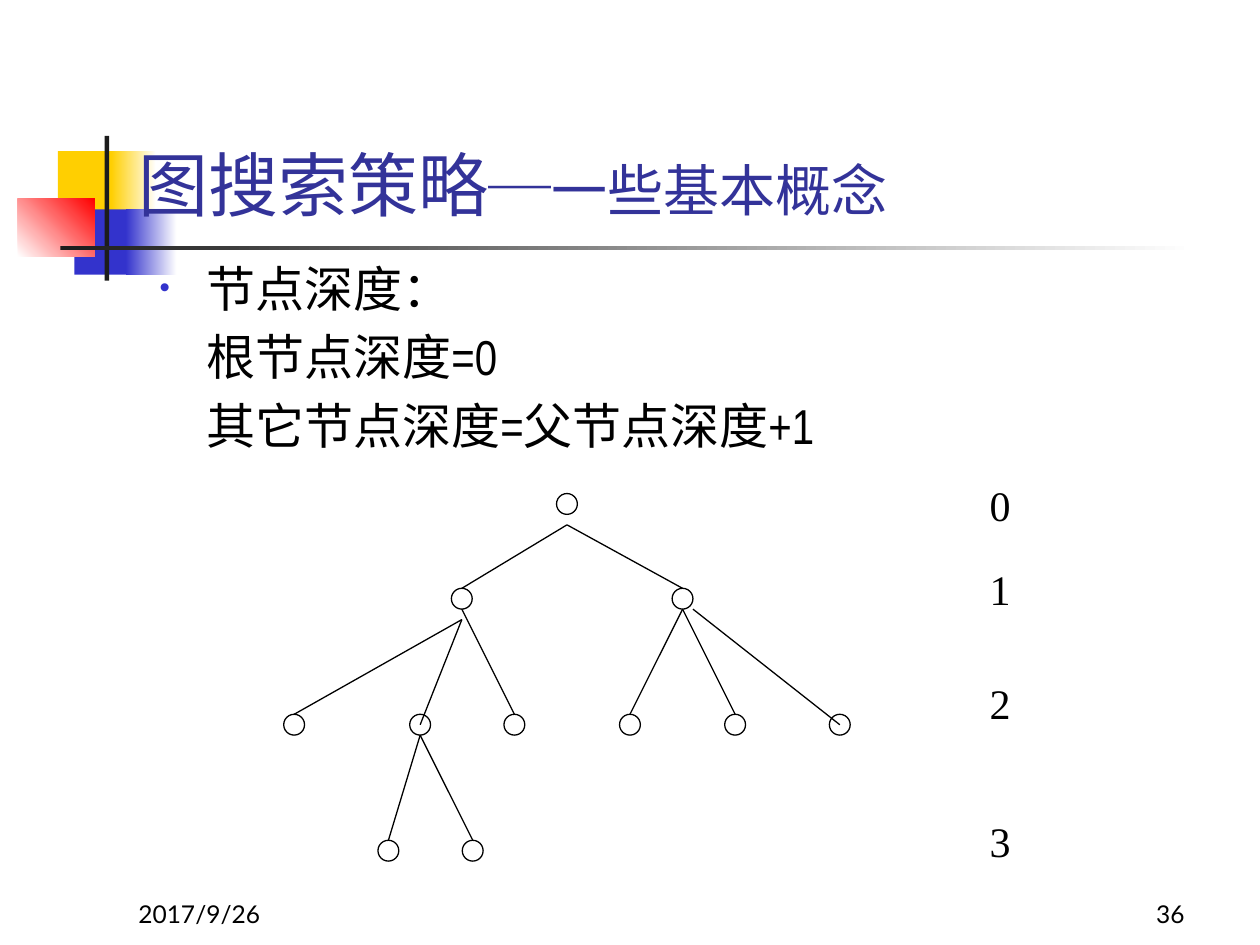
from lxml.etree import SubElement
from pptx import Presentation
from pptx.dml.color import RGBColor
from pptx.enum.shapes import MSO_CONNECTOR, MSO_SHAPE
from pptx.enum.text import MSO_ANCHOR, PP_ALIGN
from pptx.oxml.ns import qn
from pptx.util import Cm, Pt

BLACK, WHITE, YELLOW, BLUE, RED = "000000", "FFFFFF", "FFCF01", "3333CC", "FF0000"
CHARCOAL, TITLE_BLUE = "1C1C1C", "333399"
RADIUS = 0.21
DECORATION = [
    (1.17, 3.05, 1.22, 1.32, [YELLOW], 0),
    (2.24, 3.05, 0.91, 1.32, [YELLOW, WHITE], 0),
    (1.5, 4.22, 1.17, 1.32, [BLUE], 0),
    (2.54, 4.22, 1.02, 1.32, [BLUE, WHITE], 0),
    (0.36, 4.01, 1.55, 1.17, [WHITE, RED], 45),
    (2.11, 2.74, 0.09, 2.92, [CHARCOAL], 0),
    (1.22, 4.95, 22.86, 0.09, [CHARCOAL, WHITE], 0),
]
LEVELS = [10.16, 12.07, 14.61, 17.15]
NODES = {
    "root": (11.43, 0),
    "left": (9.31, 1), "right": (13.76, 1),
    "a": (5.93, 2), "b": (8.47, 2), "c": (10.37, 2),
    "d": (12.7, 2), "e": (14.82, 2), "f": (16.93, 2),
    "b1": (7.83, 3), "b2": (9.53, 3),
}
EDGES = [
    ("root", "left", 0, 2 * RADIUS, RADIUS),
    ("root", "right", 0, 2 * RADIUS, RADIUS),
    ("left", "a", 0, 2 * RADIUS, RADIUS),
    ("left", "b", 0, 2 * RADIUS, 0),
    ("left", "c", 0, RADIUS, RADIUS),
    ("right", "d", 0, RADIUS, RADIUS),
    ("right", "e", 0, RADIUS, RADIUS),
    ("right", "f", RADIUS, RADIUS, 0),
    ("b", "b1", 0, RADIUS, RADIUS),
    ("b", "b2", 0, RADIUS, RADIUS),
]
DEPTH_LABEL_TOPS = [9.53, 11.23, 13.54, 16.31]


def color(value):
    """Turn a hex string into a colour."""
    return RGBColor.from_string(value)


def add_block(page, left, top, width, height, colors, angle):
    """Draw a borderless rectangle in one colour or a two-colour gradient."""
    block = page.shapes.add_shape(
        MSO_SHAPE.RECTANGLE, Cm(left), Cm(top), Cm(width), Cm(height))
    block.shadow.inherit = False
    block.line.fill.background()
    if len(colors) == 1:
        block.fill.solid()
        block.fill.fore_color.rgb = color(colors[0])
        return
    block.fill.gradient()
    block.fill.gradient_angle = angle
    for stop, value in zip(block.fill.gradient_stops, colors):
        stop.color.rgb = color(value)


def add_node(page, x, y):
    """Draw a tree node centred on a point."""
    node = page.shapes.add_shape(
        MSO_SHAPE.OVAL, Cm(x - RADIUS), Cm(y - RADIUS), Cm(2 * RADIUS), Cm(2 * RADIUS))
    node.shadow.inherit = False
    node.fill.solid()
    node.fill.fore_color.rgb = color(WHITE)
    node.line.color.rgb = color(BLACK)
    node.line.width = Pt(0.75)


def add_edge(page, parent, child, shift, drop, rise):
    """Draw the line from a parent node down to its child."""
    (start_x, start_level), (end_x, end_level) = NODES[parent], NODES[child]
    edge = page.shapes.add_connector(
        MSO_CONNECTOR.STRAIGHT,
        Cm(start_x + shift), Cm(LEVELS[start_level] + drop),
        Cm(end_x), Cm(LEVELS[end_level] - rise))
    edge.line.color.rgb = color(BLACK)
    edge.line.width = Pt(0.75)
    SubElement(edge._element.spPr, qn("a:effectLst"))


def style(font, name, size, value):
    """Set typeface, size and colour of a font."""
    font.name = name
    font.size = Pt(size)
    font.color.rgb = color(value)


def add_box(page, left, top, width, height, anchor, wrap=True):
    """Add an empty text box and return its text frame."""
    box = page.shapes.add_textbox(Cm(left), Cm(top), Cm(width), Cm(height))
    frame = box.text_frame
    frame.word_wrap = wrap
    frame.vertical_anchor = anchor
    return frame


def add_label(page, text, place, anchor, align, name, size, wrap=True):
    """Add a box with a single black line of text."""
    paragraph = add_box(page, *place, anchor, wrap).paragraphs[0]
    paragraph.text = text
    paragraph.alignment = align
    style(paragraph.font, name, size, BLACK)


def add_title(page):
    """Add the title, whose parts shrink from left to right."""
    paragraph = add_box(page, 2.54, 2.34, 21.59, 2.34, MSO_ANCHOR.BOTTOM).paragraphs[0]
    for text, size in [("图搜索策略", 40), ("─", 36), ("一些基本概念", 32)]:
        span = paragraph.add_run()
        span.text = text
        style(span.font, "Lato", size, TITLE_BLUE)


def add_bullet(paragraph):
    """Give a paragraph a small blue bullet."""
    properties = paragraph._p.get_or_add_pPr()
    bullet_color = SubElement(properties, qn("a:buClr"))
    SubElement(bullet_color, qn("a:srgbClr"), val=BLUE)
    SubElement(properties, qn("a:buSzPct"), val="60000")
    SubElement(properties, qn("a:buFont"), typeface="Arial")
    SubElement(properties, qn("a:buChar"), char="•")


def add_definition(page):
    """Add the bulleted term and its two indented rules."""
    frame = add_box(page, 2.97, 5.08, 21.59, 13.54, MSO_ANCHOR.TOP)
    lines = ["节点深度：", "根节点深度=0", "其它节点深度=父节点深度+1"]
    for index, text in enumerate(lines):
        paragraph = frame.add_paragraph() if index else frame.paragraphs[0]
        paragraph.text = text
        properties = paragraph._p.get_or_add_pPr()
        properties.set("marL", str(Cm(0.95)))
        if index:
            paragraph.space_before = Pt(5.6)
        else:
            properties.set("indent", str(-Cm(0.95)))
            add_bullet(paragraph)
        style(paragraph.font, "Arial Narrow", 28, BLACK)


def add_tree(page):
    """Draw the search tree with its depth numbers."""
    for x, level in NODES.values():
        add_node(page, x, LEVELS[level])
    for edge in EDGES:
        add_edge(page, *edge)
    for depth, top in enumerate(DEPTH_LABEL_TOPS):
        add_label(page, str(depth), (19.69, top, 0.94, 1.27), MSO_ANCHOR.MIDDLE,
                  PP_ALIGN.CENTER, "Times New Roman", 24, wrap=False)


def main():
    """Build and save the slide."""
    deck = Presentation()
    deck.slide_width, deck.slide_height = Cm(25.4), Cm(19.05)
    page = deck.slides.add_slide(deck.slide_layouts[6])
    for block in DECORATION:
        add_block(page, *block)
    for text, left, align in [("2017/9/26", 2.54, PP_ALIGN.LEFT),
                              ("36", 18.85, PP_ALIGN.RIGHT)]:
        add_label(page, text, (left, 17.58, 5.28, 1.27), MSO_ANCHOR.BOTTOM,
                  align, "Lato", 14)
    add_title(page)
    add_definition(page)
    add_tree(page)
    deck.save("out.pptx")


if __name__ == "__main__":
    main()
